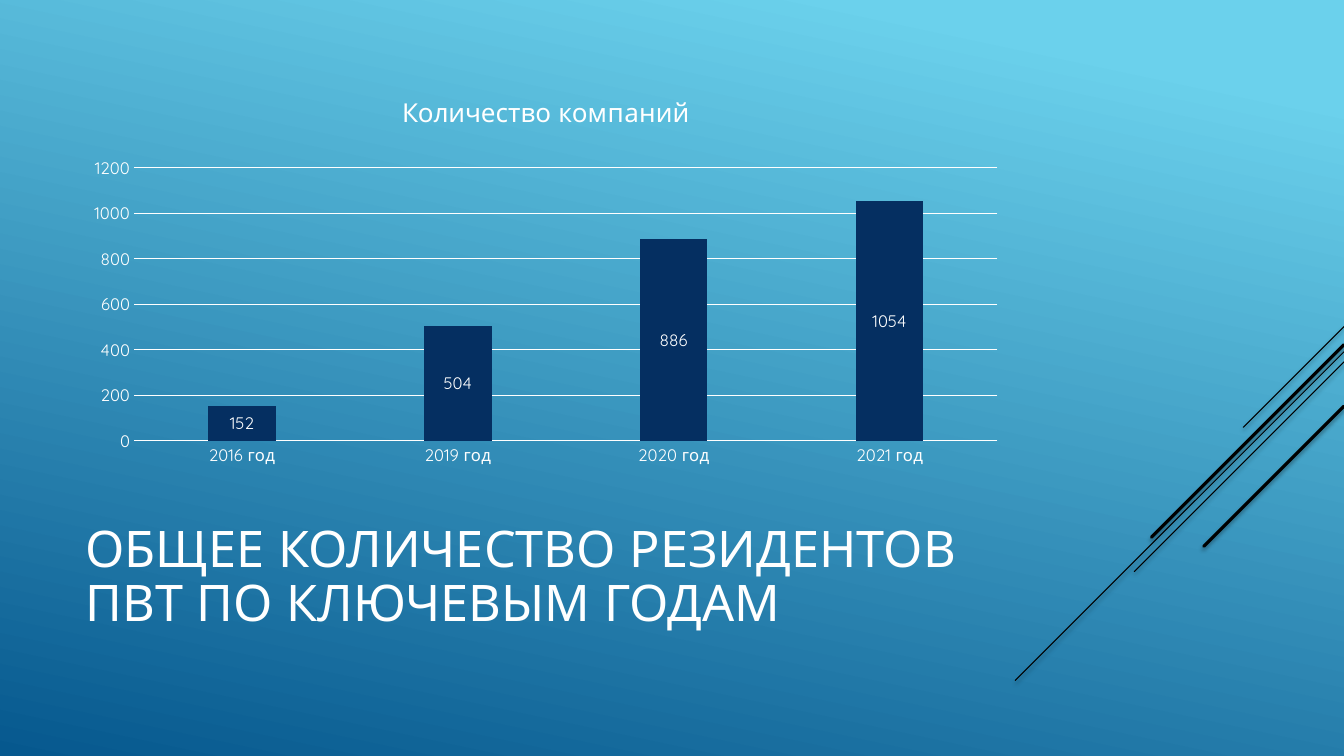
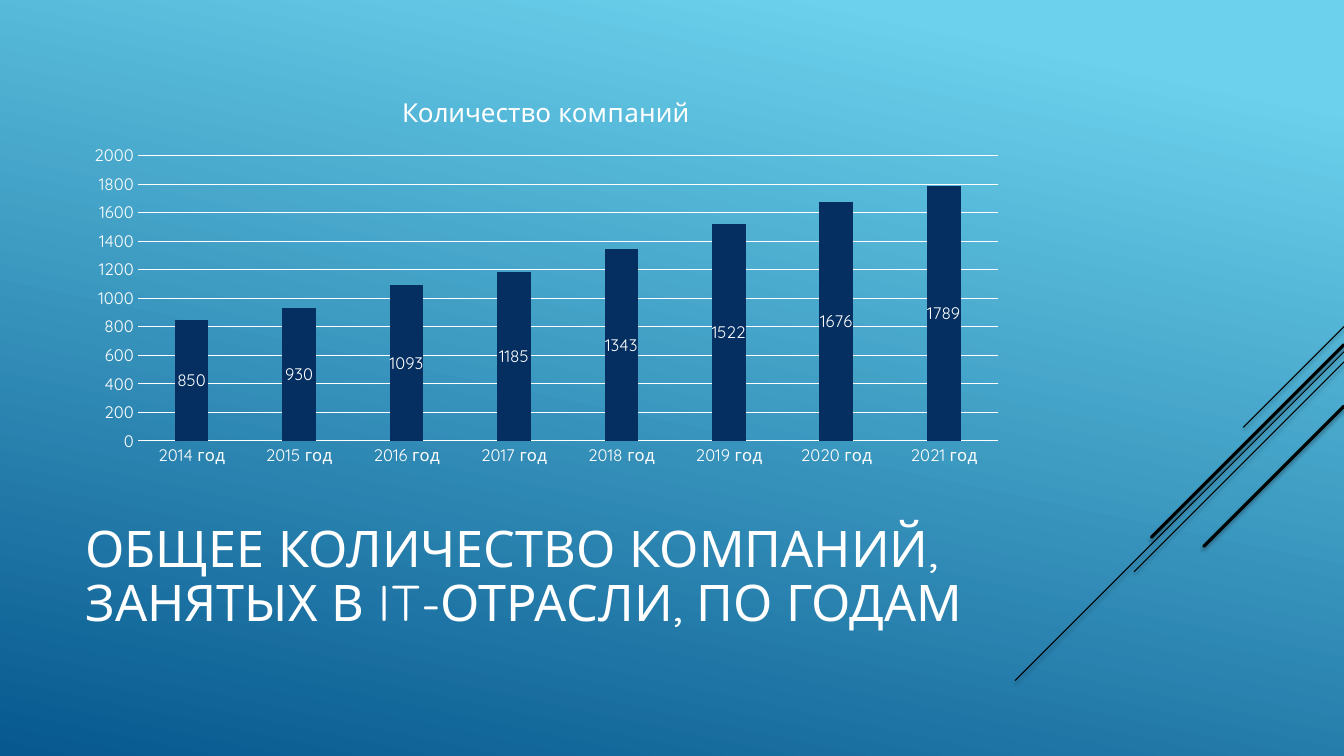
from pptx import Presentation
from pptx.chart.data import CategoryChartData
from pptx.dml.color import RGBColor
from pptx.enum.chart import XL_CHART_TYPE as ChartType
from pptx.enum.chart import XL_LABEL_POSITION as LabelPosition
from pptx.enum.chart import XL_TICK_MARK as TickMark
from pptx.enum.shapes import MSO_CONNECTOR as Connector
from pptx.enum.text import MSO_ANCHOR as Anchor
from pptx.oxml import parse_xml
from pptx.oxml.ns import nsdecls, qn
from pptx.util import Inches, Pt

WIDTH, HEIGHT = 13.33, 7.5
LEFT = 0.75
CHART_TITLE = "Количество компаний"

# Diagonals at 45 degrees: height at the right edge, run to the left, weight
DIAGONALS = [
    (3.24, 1.0, 0.75),
    (3.49, 3.26, 0.75),
    (3.59, 2.08, 0.75),
    (3.42, 1.91, 2.25),
    (4.03, 1.39, 2.25),
]

SHADOW = (
    f'<a:effectLst {nsdecls("a")}>'
    '<a:outerShdw blurRad="39370" dist="20320" dir="5400000" rotWithShape="0">'
    '<a:srgbClr val="000000"><a:alpha val="38000"/></a:srgbClr>'
    '</a:outerShdw></a:effectLst>'
)


def rgb(value):
    return RGBColor.from_string(value)


def style_font(font, size, color="FFFFFF", name="Quicksand"):
    font.size = Pt(size)
    font.bold = False
    font.name = name
    font.color.rgb = rgb(color)


def write(frame, text, **style):
    """Put one formatted run in the first paragraph of a text frame."""
    para = frame.paragraphs[0]
    span = para.add_run()
    span.text = text
    style_font(span.font, **style)
    return para


class Deck:
    WHITE, BLACK, NAVY = "FFFFFF", "000000", "052F61"
    GRADIENT = [(0.1, "6BD1EC"), (1.0, "06588E")]
    GRADIENT_ANGLE = 360 - 102  # counted counter-clockwise
    TITLE_SIZE, CHART_TITLE_SIZE, LABEL_SIZE = 36, 18.6, 11.9

    def __init__(self):
        self.deck = Presentation()
        self.deck.slide_width = Inches(WIDTH)
        self.deck.slide_height = Inches(HEIGHT)
        self.page = None

    def add_page(self):
        self.page = self.deck.slides.add_slide(self.deck.slide_layouts[6])
        self.background()
        for top, run, weight in DIAGONALS:
            self.diagonal(top, run, weight)

    def background(self):
        fill = self.page.background.fill
        fill.gradient()
        fill.gradient_angle = self.GRADIENT_ANGLE
        for stop, (position, color) in zip(fill.gradient_stops, self.GRADIENT):
            stop.position = position
            stop.color.rgb = rgb(color)

    def diagonal(self, top, run, weight):
        line = self.page.shapes.add_connector(
            Connector.STRAIGHT, Inches(WIDTH), Inches(top),
            Inches(WIDTH - run), Inches(top + run))
        line.line.color.rgb = rgb(self.BLACK)
        line.line.width = Pt(weight)
        properties = line.element.spPr
        properties.find(qn("a:ln")).set("cap", "rnd")
        properties.append(parse_xml(SHADOW))

    def title(self, text, width):
        box = self.page.shapes.add_textbox(
            Inches(LEFT), Inches(4.91), Inches(width), Inches(1.65))
        frame = box.text_frame
        frame.word_wrap = True
        frame.vertical_anchor = Anchor.MIDDLE
        para = write(frame, text, size=self.TITLE_SIZE)
        para.line_spacing = 0.9

    def column_chart(self, series_name, values, maximum=None):
        data = CategoryChartData()
        data.categories = [f"{year} год" for year in values]
        data.add_series(series_name, list(values.values()))
        chart = self.page.shapes.add_chart(
            ChartType.COLUMN_CLUSTERED, Inches(LEFT), Inches(0.75),
            Inches(9.33), Inches(3.95), data).chart
        style_font(chart.font, 10, self.BLACK, "Arial")
        chart.has_legend = False
        chart.has_title = True
        write(chart.chart_title.text_frame, CHART_TITLE,
              size=self.CHART_TITLE_SIZE)
        chart.chart_title.include_in_layout = False

        # Axes
        for axis in (chart.category_axis, chart.value_axis):
            axis.major_tick_mark = axis.minor_tick_mark = TickMark.NONE
            style_font(axis.tick_labels.font, self.LABEL_SIZE)
        self.white_line(chart.category_axis.format.line)
        value_axis = chart.value_axis
        value_axis.format.line.fill.background()
        self.white_line(value_axis.major_gridlines.format.line)
        value_axis.minimum_scale = 0
        value_axis.major_unit = 200
        if maximum:
            value_axis.maximum_scale = maximum

        # Columns and their values
        plot = chart.plots[0]
        plot.vary_by_categories = False
        plot.gap_width = 219
        plot.overlap = -27
        fill = plot.series[0].format.fill
        fill.solid()
        fill.fore_color.rgb = rgb(self.NAVY)
        plot.has_data_labels = True
        labels = plot.data_labels
        labels.show_value = True
        labels.position = LabelPosition.CENTER
        style_font(labels.font, self.LABEL_SIZE)

    def white_line(self, line):
        line.color.rgb = rgb(self.WHITE)
        line.width = Pt(0.75)

    def save(self):
        self.deck.save("out.pptx")


def main():
    show = Deck()

    # Residents by key year
    show.add_page()
    show.title("ОБЩЕЕ КОЛИЧЕСТВО РЕЗИДЕНТОВ ПВТ ПО КЛЮЧЕВЫМ ГОДАМ", 9.72)
    show.column_chart(
        CHART_TITLE, {2016: 152, 2019: 504, 2020: 886, 2021: 1054},
        maximum=1300)

    # Companies in the industry by year
    show.add_page()
    show.title("ОБЩЕЕ КОЛИЧЕСТВО КОМПАНИЙ, ЗАНЯТЫХ В IT-ОТРАСЛИ, ПО ГОДАМ",
               9.33)
    counts = [850, 930, 1093, 1185, 1343, 1522, 1676, 1789]
    show.column_chart("Series 1", dict(enumerate(counts, start=2014)))

    show.save()


if __name__ == "__main__":
    main()
